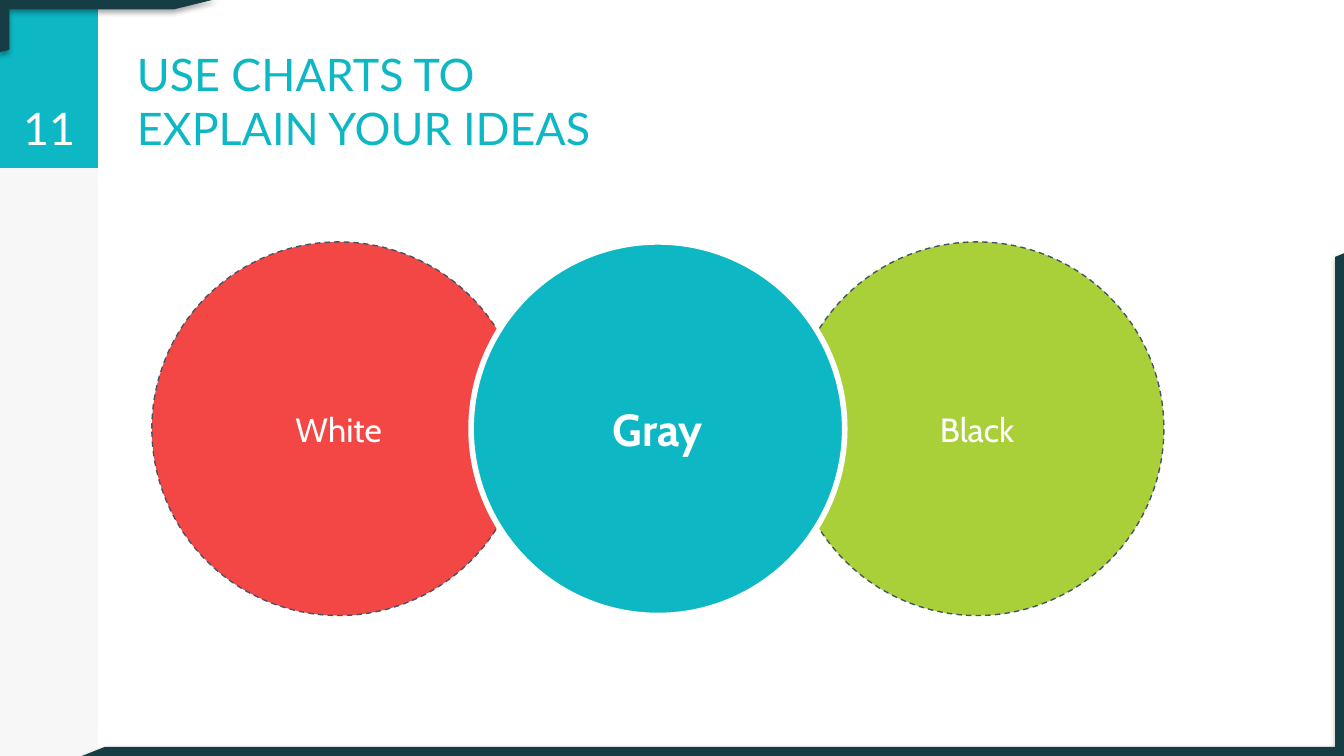
"""Build a slide with three overlapping circles beside a numbered sidebar."""
from lxml import etree
from pptx import Presentation
from pptx.dml.color import RGBColor
from pptx.enum import dml, shapes, text
from pptx.oxml.ns import qn
from pptx.util import Inches, Pt

THEME = {
    "teal": "0DB7C4", "red": "F24745", "green": "A9D039", "dark": "163C44",
    "slate": "415665", "white": "FFFFFF", "black": "000000",
    "heading_font": "Lato", "body_font": "Cabin", "large": 24, "medium": 18,
}


def add_filled(kind, box, color):
    shape = slide.shapes.add_shape(kind, *map(Inches, box))
    shape.shadow.inherit = False
    shape.fill.solid()
    shape.fill.fore_color.rgb = RGBColor.from_string(THEME[color])
    shape.line.fill.background()
    return shape


def write(shape, words, font, size, color, anchor, align, bold=False):
    frame = shape.text_frame
    frame.word_wrap = True
    frame.vertical_anchor = anchor
    frame.margin_left = frame.margin_right = Inches(0.1)
    frame.margin_top = frame.margin_bottom = Inches(0.1)
    paragraph = frame.paragraphs[0]
    paragraph.alignment = align
    run = paragraph.add_run()
    run.text = words
    run.font.name = THEME[font]
    run.font.size = Pt(THEME[size])
    run.font.bold = bold
    run.font.color.rgb = RGBColor.from_string(THEME[color])


slide_width = 10
slide_height = slide_width * 9 / 16
presentation = Presentation()
presentation.slide_width = Inches(slide_width)
presentation.slide_height = Inches(slide_height)
slide = presentation.slides.add_slide(presentation.slide_layouts[6])
rectangle = shapes.MSO_SHAPE.RECTANGLE
bar_width, header_height = 0.73, 1.25

sidebar = add_filled(rectangle, (0, 0, bar_width, slide_height), "black")
sidebar_color = sidebar.fill._xPr.find(".//" + qn("a:srgbClr"))
etree.SubElement(sidebar_color, qn("a:alpha"), val="3000")
add_filled(rectangle, (0, 0, bar_width, header_height), "teal")

frame_width, frame_height = 9.39, 3.74
for box, thickness, rotation in [
    ((-0.01, -0.01, 1.63, 0.4), 0.2, 0),
    ((slide_width - frame_width, slide_height - frame_height,
      frame_width, frame_height), 0.018, 180),
]:
    corner = add_filled(shapes.MSO_SHAPE.HALF_FRAME, box, "dark")
    corner.adjustments[0] = corner.adjustments[1] = thickness
    corner.rotation = rotation
    effects = corner._element.spPr.find(qn("a:effectLst"))
    shadow = etree.SubElement(
        effects, qn("a:outerShdw"), blurRad=str(Pt(3.1)), dist=str(Pt(1.8)),
        dir="5400000", algn="t", rotWithShape="0")
    shadow_color = etree.SubElement(shadow, qn("a:srgbClr"), val=THEME["black"])
    etree.SubElement(shadow_color, qn("a:alpha"), val="35000")

for words, left, width, color, align in [
    ("USE CHARTS TO EXPLAIN YOUR IDEAS", 0.92, 3.89, "teal", text.PP_ALIGN.LEFT),
    ("11", 0, bar_width, "white", text.PP_ALIGN.CENTER),
]:
    heading = slide.shapes.add_textbox(
        Inches(left), Inches(0), Inches(width), Inches(header_height))
    write(heading, words, "heading_font", "large", color,
          text.MSO_ANCHOR.BOTTOM, align)

first_left, last_left, diameter = 1.13, 5.88, 2.78
step = (last_left - first_left) / 2
for label, position, color, central in [
    ("White", 0, "red", False),
    ("Black", 2, "green", False),
    ("Gray", 1, "teal", True),
]:
    box = (first_left + position * step, 1.8, diameter, diameter)
    circle = add_filled(shapes.MSO_SHAPE.OVAL, box, color)
    circle.line.color.rgb = RGBColor.from_string(
        THEME["white" if central else "slate"])
    circle.line.width = Pt(3 if central else 0.75)
    if not central:
        circle.line.dash_style = dml.MSO_LINE.DASH
    write(circle, label, "body_font", "large" if central else "medium", "white",
          text.MSO_ANCHOR.MIDDLE, text.PP_ALIGN.CENTER, central)

presentation.save("out.pptx")
